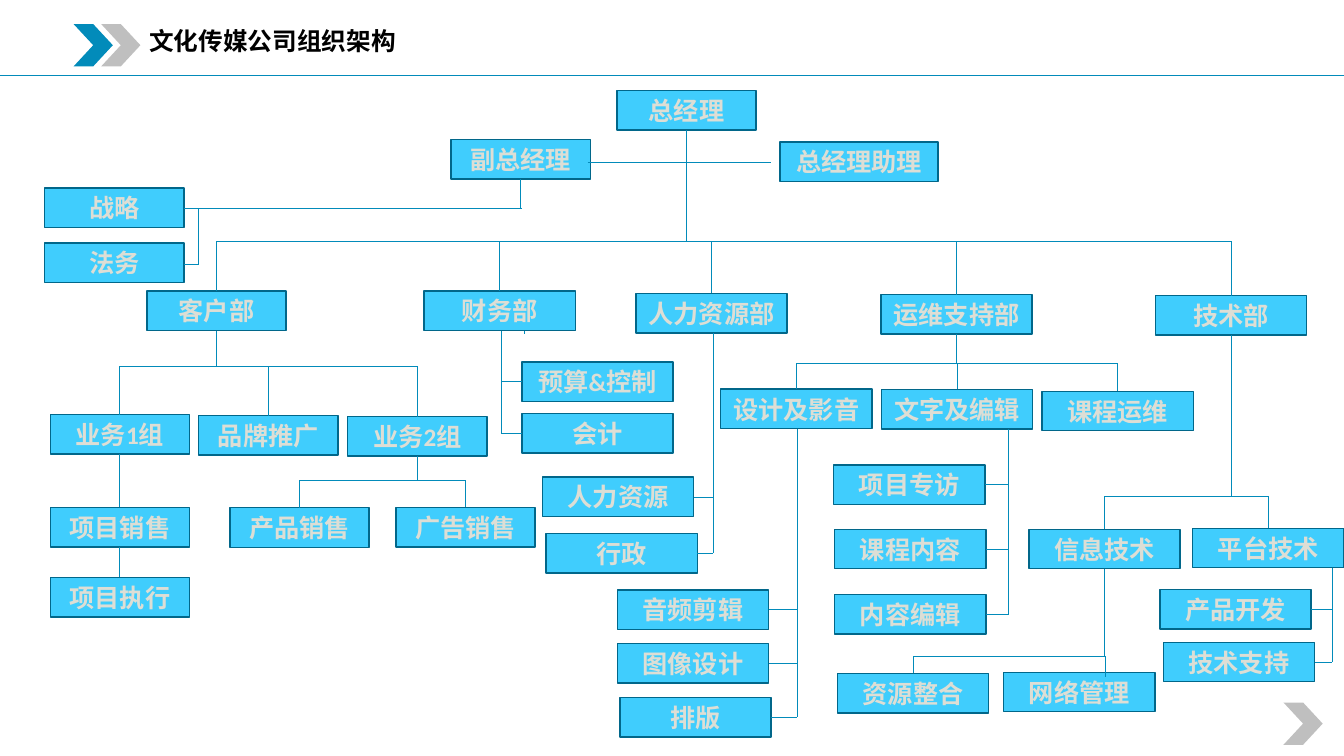
from dataclasses import dataclass

from lxml import etree
from pptx import Presentation
from pptx.dml.color import RGBColor
from pptx.enum.shapes import MSO_CONNECTOR, MSO_SHAPE
from pptx.enum.text import MSO_ANCHOR, PP_ALIGN
from pptx.oxml.ns import qn
from pptx.util import Pt

RECTANGLE, CHEVRON = MSO_SHAPE.RECTANGLE, MSO_SHAPE.CHEVRON
STRAIGHT = MSO_CONNECTOR.STRAIGHT
TOP, MIDDLE = MSO_ANCHOR.TOP, MSO_ANCHOR.MIDDLE
LEFT, CENTER = PP_ALIGN.LEFT, PP_ALIGN.CENTER

COLORS = {
    "background": "FFFFFF", "title": "000000", "accent": "028BBA", "grey": "BFBFBF",
    "unit": "40CDFD", "unit_border": "01678A", "unit_text": "DDDED5",
}
FONT = "Calibri"
SLIDE_WIDTH, SLIDE_HEIGHT = 960, 540
UNIT_HEIGHT = 28.2
NARROW, WIDE = 99.4, 108


@dataclass(frozen=True)
class Unit:
    """A box of the organisation chart."""
    name: str
    left: float
    top: float
    width: float = WIDE

    @property
    def right(self) -> float:
        return self.left + self.width

    @property
    def bottom(self) -> float:
        return self.top + UNIT_HEIGHT

    @property
    def center(self) -> float:
        return self.left + self.width / 2

    @property
    def middle(self) -> float:
        return self.top + UNIT_HEIGHT / 2


@dataclass(frozen=True)
class Branch:
    """Children hanging below a horizontal bus."""
    parent: str
    bus: float
    children: tuple[str, ...]


@dataclass(frozen=True)
class Rail:
    """Children attached sideways to a vertical rail."""
    parent: str
    x: float
    children: tuple[str, ...]


@dataclass(frozen=True)
class Segment:
    x1: float
    y1: float
    x2: float
    y2: float


@dataclass(frozen=True)
class Arrow:
    left: float
    top: float
    color: str


ARROWS = (
    Arrow(916.8, 501.8, "grey"),
    Arrow(52.6, 17.2, "accent"),
    Arrow(72.3, 17.2, "grey"),
)

UNITS = (
    # Management and staff functions
    Unit("总经理", 440.6, 64.6, NARROW),
    Unit("副总经理", 322.2, 99.8, NARROW),
    Unit("总经理助理", 557.2, 101.4, 113),
    Unit("战略", 32, 134.4, NARROW),
    Unit("法务", 32, 173.5, NARROW),
    # Departments
    Unit("客户部", 104.9, 207.9, NARROW),
    Unit("财务部", 303, 207.9),
    Unit("人力资源部", 454.2, 209.6),
    Unit("运维支持部", 629.2, 210.4),
    Unit("技术部", 825.4, 211.1),
    # Client department
    Unit("业务1组", 35.9, 296.2, NARROW),
    Unit("品牌推广", 142, 296.8, NARROW),
    Unit("业务2组", 248.4, 297.6, NARROW),
    Unit("项目销售", 35.9, 362.5, NARROW),
    Unit("项目执行", 35.9, 412.5, NARROW),
    Unit("产品销售", 164.2, 362.7, NARROW),
    Unit("广告销售", 282.8, 362.5, NARROW),
    # Finance and human resources
    Unit("预算&控制", 372.8, 258.6),
    Unit("会计", 372.8, 295.4),
    Unit("人力资源", 387.5, 340.8),
    Unit("行政", 390.1, 381.2),
    # Operations support
    Unit("设计及影音", 514.8, 278),
    Unit("文字及编辑", 629.6, 278.2),
    Unit("课程运维", 744.4, 279.5),
    Unit("音频剪辑", 441, 421.4),
    Unit("图像设计", 441, 459.6),
    Unit("排版", 442.8, 498.4),
    Unit("项目专访", 595.6, 332.2),
    Unit("课程内容", 596.2, 378),
    Unit("内容编辑", 596.2, 424.8),
    # Technology
    Unit("信息技术", 735, 378),
    Unit("平台技术", 852, 377.3),
    Unit("资源整合", 598.3, 481),
    Unit("网络管理", 717, 480.2),
    Unit("产品开发", 828.6, 421.2),
    Unit("技术支持", 831, 458.8),
)

BRANCHES = (
    Branch("总经理", 172.2, ("客户部", "财务部", "人力资源部", "运维支持部", "技术部")),
    Branch("客户部", 261.6, ("业务1组", "品牌推广", "业务2组")),
    Branch("业务2组", 343, ("产品销售", "广告销售")),
    Branch("运维支持部", 259.8, ("设计及影音", "文字及编辑", "课程运维")),
    Branch("技术部", 354.4, ("信息技术", "平台技术")),
    Branch("信息技术", 468.8, ("资源整合",)),
)

RAILS = (
    Rail("财务部", 358, ("预算&控制", "会计")),
    Rail("人力资源部", 509.4, ("人力资源", "行政")),
    Rail("设计及影音", 569.4, ("音频剪辑", "图像设计", "排版")),
    Rail("文字及编辑", 720.4, ("项目专访", "课程内容", "内容编辑")),
    Rail("平台技术", 951.8, ("产品开发", "技术支持")),
)

SEGMENTS = (
    Segment(419.8, 116, 550.8, 116),        # deputy to assistant
    Segment(371.7, 128, 371.7, 148.6),      # deputy down to staff functions
    Segment(131.4, 148.6, 372.6, 148.6),
    Segment(141.8, 148.6, 141.8, 188.8),
    Segment(131.4, 188.8, 141.8, 188.8),
    Segment(85.6, 324.4, 85.6, 362.5),      # project sales chain
    Segment(85.6, 390.7, 85.6, 412.5),
    Segment(374.6, 236.1, 374.6, 238.3),    # finance stub
    Segment(789.2, 468.8, 789.2, 483.8),    # network management
)


def rgb(key: str) -> RGBColor:
    return RGBColor.from_string(COLORS[key])


def draw_line(slide, line: Segment) -> None:
    connector = slide.shapes.add_connector(
        STRAIGHT, Pt(line.x1), Pt(line.y1), Pt(line.x2), Pt(line.y2))
    connector.line.color.rgb = rgb("accent")
    connector.line.width = Pt(0.5)
    etree.SubElement(connector._element.spPr, qn("a:effectLst"))


def draw_arrow(slide, arrow: Arrow) -> None:
    chevron = slide.shapes.add_shape(CHEVRON, Pt(arrow.left), Pt(arrow.top), Pt(28), Pt(30.2))
    chevron.shadow.inherit = False
    chevron.fill.solid()
    chevron.fill.fore_color.rgb = rgb(arrow.color)
    chevron.line.fill.background()


def write(frame, text: str, size: float, color: str, align, anchor):
    frame.text = text
    frame.word_wrap = True
    frame.vertical_anchor = anchor
    paragraph = frame.paragraphs[0]
    paragraph.alignment = align
    font = paragraph.font
    font.name, font.size, font.bold = FONT, Pt(size), True
    font.color.rgb = rgb(color)
    return paragraph


def draw_unit(slide, unit: Unit) -> None:
    box = slide.shapes.add_shape(
        RECTANGLE, Pt(unit.left), Pt(unit.top), Pt(unit.width), Pt(UNIT_HEIGHT))
    box.shadow.inherit = False
    box.fill.solid()
    box.fill.fore_color.rgb = rgb("unit")
    box.line.color.rgb = rgb("unit_border")
    box.line.width = Pt(1)
    write(box.text_frame, unit.name, 18, "unit_text", CENTER, MIDDLE)


def draw_branch(slide, branch: Branch, units: dict[str, Unit]) -> None:
    parent = units[branch.parent]
    children = [units[name] for name in branch.children]
    centers = [parent.center] + [child.center for child in children]
    draw_line(slide, Segment(parent.center, parent.bottom, parent.center, branch.bus))
    draw_line(slide, Segment(min(centers), branch.bus, max(centers), branch.bus))
    for child in children:
        draw_line(slide, Segment(child.center, branch.bus, child.center, child.top))


def draw_rail(slide, rail: Rail, units: dict[str, Unit]) -> None:
    children = [units[name] for name in rail.children]
    draw_line(slide, Segment(rail.x, units[rail.parent].bottom, rail.x, children[-1].middle))
    for child in children:
        edge = child.left if rail.x < child.left else child.right
        draw_line(slide, Segment(edge, child.middle, rail.x, child.middle))


def main() -> None:
    prs = Presentation()
    prs.slide_width, prs.slide_height = Pt(SLIDE_WIDTH), Pt(SLIDE_HEIGHT)
    slide = prs.slides.add_slide(prs.slide_layouts[5])
    slide.background.fill.solid()
    slide.background.fill.fore_color.rgb = rgb("background")

    # Header and corner arrows
    for arrow in ARROWS:
        draw_arrow(slide, arrow)
    draw_line(slide, Segment(0, 54, SLIDE_WIDTH, 54))
    title = slide.shapes.title
    title.left, title.top, title.width, title.height = Pt(99.4), Pt(17.2), Pt(218), Pt(28)
    heading = write(title.text_frame, "文化传媒公司组织架构", 17.6, "title", LEFT, TOP)
    heading.line_spacing = 0.9

    # Organisation chart
    units = {unit.name: unit for unit in UNITS}
    for unit in UNITS:
        draw_unit(slide, unit)
    for branch in BRANCHES:
        draw_branch(slide, branch, units)
    for rail in RAILS:
        draw_rail(slide, rail, units)
    for segment in SEGMENTS:
        draw_line(slide, segment)

    prs.save("out.pptx")


if __name__ == "__main__":
    main()
